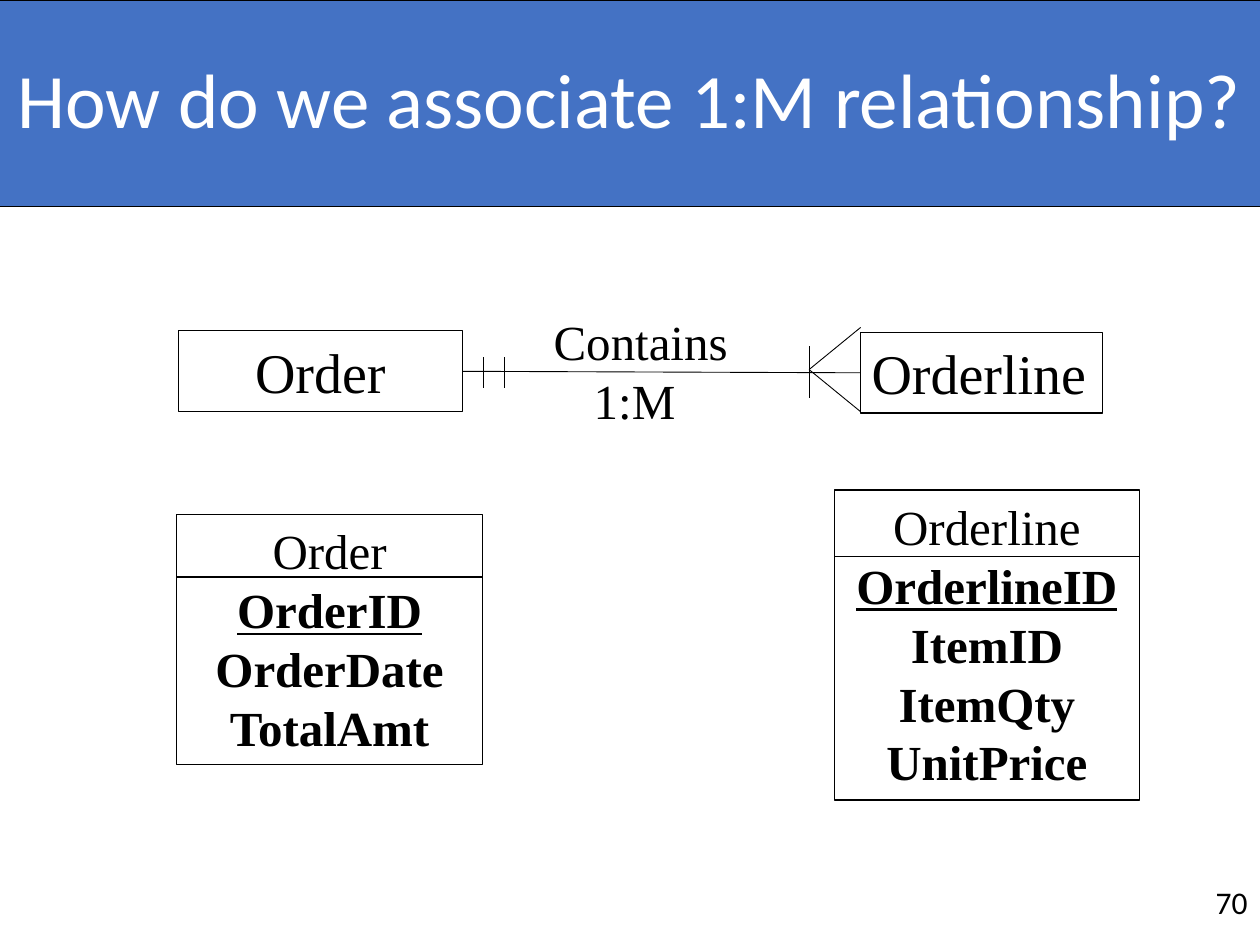
import pptx
import pptx.dml.color
import pptx.enum.shapes
import pptx.enum.text
import pptx.util
from lxml import etree
from pptx.util import Cm, Pt

BLACK = pptx.dml.color.RGBColor(0x00, 0x00, 0x00)
WHITE = pptx.dml.color.RGBColor(0xFF, 0xFF, 0xFF)
BLUE = pptx.dml.color.RGBColor(0x44, 0x72, 0xC4)
SERIF, SANS = "Times New Roman", "Calibri"
ALIGN = pptx.enum.text.PP_ALIGN
ANCHOR = pptx.enum.text.MSO_ANCHOR

# Places are left, top, width, height in centimetres.
TITLE = ("How do we associate 1:M relationship?", (-0.02, 0, 25.43, 4.16))
PAGE_NUMBER = ("70", (24.13, 17.53, 1.27, 1.32))
ENTITIES = [
    ("Order", (3.6, 6.67, 5.72, 1.63), ALIGN.CENTER),
    ("Orderline", (17.35, 6.7, 4.88, 1.63), ALIGN.LEFT),
]
RELATIONSHIP = ("Contains\v1:M ", (9.53, 6.15, 6.77, 2.64))
# Name, key, other columns, place, height of the heading row.
TABLES = [
    ("Order", "OrderID", ["OrderDate", "TotalAmt"],
     (3.56, 10.37, 6.17, 5.05), 1.27),
    ("Orderline", "OrderlineID", ["ItemID", "ItemQty", "UnitPrice"],
     (16.82, 9.88, 6.15, 6.25), 1.34),
]
FOOT_X, FOOT_Y = 16.31, 7.45
CARDINALITY_MARKS = [
    ((FOOT_X, FOOT_Y), (17.35, 6.6)),
    ((FOOT_X, FOOT_Y), (17.35, 8.3)),
    ((9.74, 7.2), (9.74, 7.83)),
    ((10.16, 7.2), (10.16, 7.83)),
    ((FOOT_X, 6.98), (FOOT_X, 8.02)),
]


def set_values(target, values):
    for name, value in values.items():
        setattr(target, name, value)


def write(shape, lines, size, font=SERIF, color=BLACK, align=ALIGN.CENTER,
          anchor=ANCHOR.TOP, side=0.25, spacing=None):
    """Fill a shape with lines, each a (text, extra font values) pair."""
    frame = shape.text_frame
    set_values(frame, {
        "word_wrap": True, "auto_size": pptx.enum.text.MSO_AUTO_SIZE.NONE,
        "vertical_anchor": anchor,
        "margin_left": Cm(side), "margin_right": Cm(side),
        "margin_top": Cm(0.13), "margin_bottom": Cm(0.13),
    })
    for index, (text, extra) in enumerate(lines):
        para = frame.add_paragraph() if index else frame.paragraphs[0]
        para.text = text
        set_values(para, {"alignment": align, "line_spacing": spacing})
        for span in para.runs:
            set_values(span.font, {"name": font, "size": Pt(size), **extra})
            span.font.color.rgb = color


def outline(shape, width):
    shape.line.color.rgb = BLACK
    shape.line.width = Pt(width)


def add_box(page, place):
    box = page.shapes.add_shape(
        pptx.enum.shapes.MSO_SHAPE.RECTANGLE, *map(Cm, place))
    box.shadow.inherit = False
    box.fill.background()
    outline(box, 0.75)
    return box


def add_line(page, start, end, width):
    line = page.shapes.add_connector(
        pptx.enum.shapes.MSO_CONNECTOR.STRAIGHT, *map(Cm, start + end))
    outline(line, width)
    properties = line._element.spPr
    etree.SubElement(properties, pptx.oxml.ns.qn("a:effectLst"))
    return line


def add_header(page):
    text, place = TITLE
    title = page.shapes.title
    set_values(title, dict(zip(("left", "top", "width", "height"),
                               map(Cm, place))))
    title.fill.solid()
    title.fill.fore_color.rgb = BLUE
    outline(title, 0.75)
    write(title, [(text, {})], 44, SANS, WHITE, anchor=ANCHOR.MIDDLE,
          spacing=0.9)
    text, place = PAGE_NUMBER
    number = page.shapes.add_textbox(*map(Cm, place))
    write(number, [(text, {})], 18, SANS, align=ALIGN.RIGHT,
          anchor=ANCHOR.MIDDLE)


def add_relationship(page):
    boxes = []
    for name, place, align in ENTITIES:
        box = add_box(page, place)
        write(box, [(name, {})], 32, align=align, side=0.22)
        boxes.append(box)
    link = add_line(page, (9.32, 7.49), (17.35, 7.52), 0.5)
    link.begin_connect(boxes[0], 3)
    link.end_connect(boxes[1], 1)
    text, place = RELATIONSHIP
    write(page.shapes.add_textbox(*map(Cm, place)), [(text, {})], 28)
    for start, end in CARDINALITY_MARKS:
        add_line(page, start, end, 0.5)


def add_tables(page):
    for name, key, columns, place, heading in TABLES:
        left, top, width, _ = place
        lines = [(name, {}), (key, {"bold": True, "underline": True})]
        lines += [(column, {"bold": True}) for column in columns]
        write(add_box(page, place), lines, 28)
        rule = top + heading
        add_line(page, (left, rule), (left + width, rule), 1)


def main():
    deck = pptx.Presentation()
    set_values(deck, {"slide_width": Cm(25.4), "slide_height": Cm(19.05)})
    page = deck.slides.add_slide(deck.slide_layouts[5])
    add_header(page)
    add_relationship(page)
    add_tables(page)
    deck.save("out.pptx")


if __name__ == "__main__":
    main()
